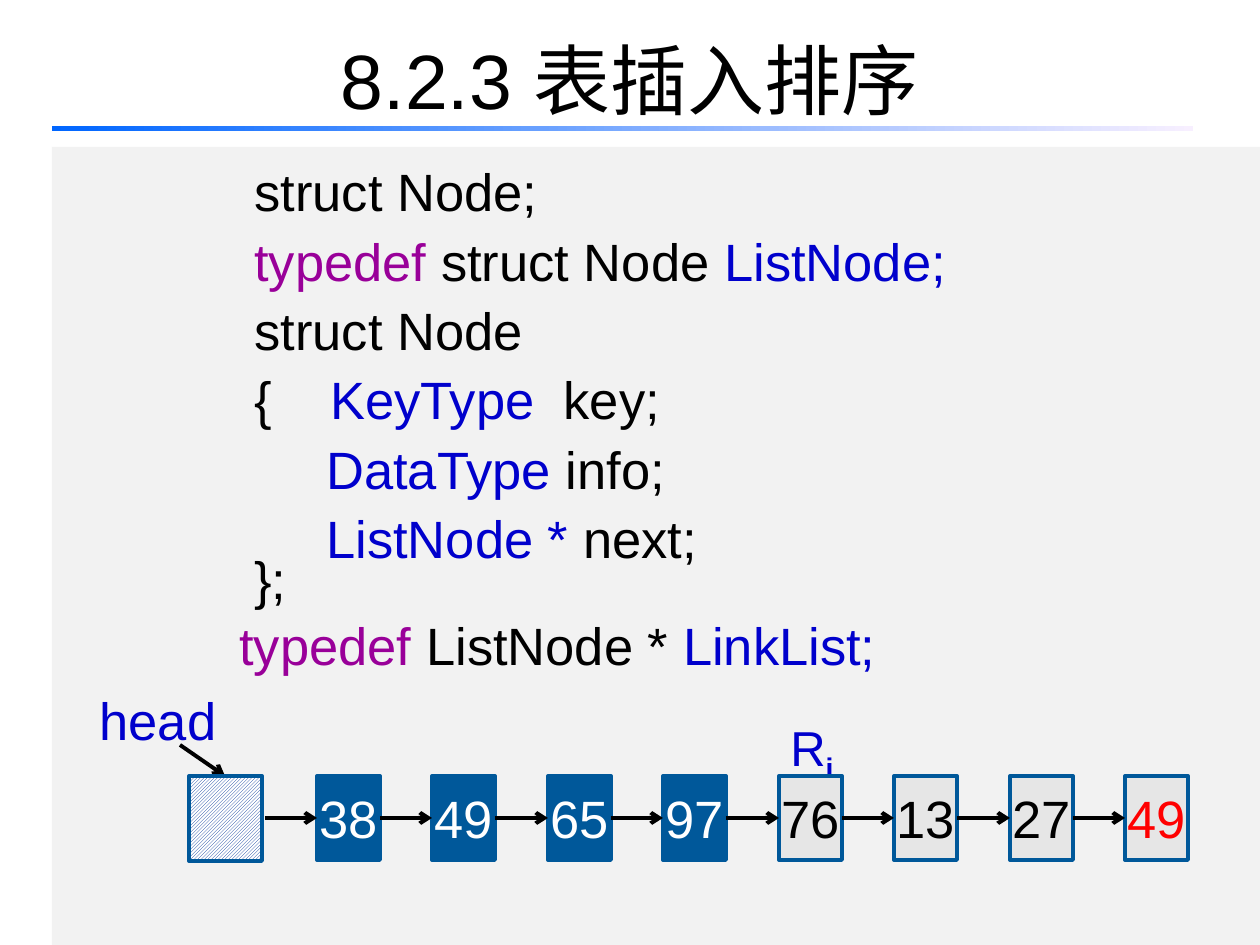
from lxml import etree
from pptx import Presentation
from pptx.dml.color import RGBColor
from pptx.enum import dml, shapes, text
from pptx.oxml.ns import qn
from pptx.util import Emu, Pt

PIXEL = 914400 // 126
FONT = "Arial"
BLACK = RGBColor(0x00, 0x00, 0x00)
WHITE = RGBColor(0xFF, 0xFF, 0xFF)
PURPLE = RGBColor(0x99, 0x00, 0x99)
BLUE = RGBColor(0x00, 0x00, 0xCC)
RED = RGBColor(0xFF, 0x00, 0x00)
NAVY = RGBColor(0x00, 0x58, 0x9A)
PANEL = RGBColor(0xF2, 0xF2, 0xF2)
GRAY = RGBColor(0xE6, 0xE6, 0xE6)
HATCH = RGBColor(0x00, 0x33, 0x99)
RULE_START = RGBColor(0x00, 0x66, 0xFF)
RULE_END = RGBColor(0xF7, 0xEF, 0xFF)

# Code lines: left margin, first-line indent, line spacing, coloured pieces
CODE = [
    (190, 0, 1.1, [("struct Node;", BLACK)]),
    (190, 0, 1.1, [("typedef ", PURPLE), ("struct Node ", BLACK), ("ListNode;", BLUE)]),
    (190, 0, 1.1, [("struct Node", BLACK)]),
    (266, -76, 1.1, [("{\t", BLACK), ("KeyType", BLUE), ("  key;", BLACK)]),
    (262, 0, 1.1, [("DataType ", BLUE), ("info;", BLACK)]),
    (262, 0, 1.1, [("ListNode * ", BLUE), ("next;", BLACK)]),
    (190, 0, 0.6, [("};", BLACK)]),
    (175, 0, 1.1, [("typedef ", PURPLE), ("ListNode * ", BLACK), ("LinkList;", BLUE)]),
]

# List nodes: key, fill, text colour
NODES = [
    ("38", NAVY, WHITE), ("49", NAVY, WHITE), ("65", NAVY, WHITE), ("97", NAVY, WHITE),
    ("76", GRAY, BLACK), ("13", GRAY, BLACK), ("27", GRAY, BLACK), ("49", GRAY, RED),
]
NODE_LEFT, NODE_TOP, NODE_WIDTH, NODE_HEIGHT = 317, 776, 63, 84
ARROW_TOP = 818


def px(*values):
    return [Emu(value * PIXEL) for value in values]


def add_run(paragraph, words, size, color):
    run = paragraph.add_run()
    run.text = words
    run.font.name = FONT
    run.font.size = Pt(size)
    run.font.color.rgb = color
    return run


def add_box(slide, box, fill=None, line=None):
    shape = slide.shapes.add_shape(shapes.MSO_SHAPE.RECTANGLE, *px(*box))
    shape.shadow.inherit = False
    if fill is not None:
        shape.fill.solid()
        shape.fill.fore_color.rgb = fill
    if line is None:
        shape.line.fill.background()
    else:
        shape.line.color.rgb = line
        shape.line.width = Pt(2.25)
    return shape


def set_label(shape, words, size, color, wrap=False, spacing=1.0,
              anchor=text.MSO_ANCHOR.MIDDLE):
    frame = shape.text_frame
    frame.word_wrap = wrap
    frame.vertical_anchor = anchor
    paragraph = frame.paragraphs[0]
    paragraph.alignment = text.PP_ALIGN.CENTER
    paragraph.line_spacing = spacing
    add_run(paragraph, words, size, color)
    return paragraph


def add_arrow(slide, start_x, start_y, end_x, end_y):
    arrow = slide.shapes.add_connector(
        shapes.MSO_CONNECTOR.STRAIGHT, *px(start_x, start_y, end_x, end_y))
    arrow.line.color.rgb = BLACK
    arrow.line.width = Pt(2.25)
    etree.SubElement(arrow.line._get_or_add_ln(), qn("a:tailEnd"), type="arrow")
    etree.SubElement(arrow._element.spPr, qn("a:effectLst"))


def add_title(slide):
    title = slide.shapes.add_textbox(*px(63, 0, 1134, 158))
    set_label(title, "8.2.3 表插入排序", 44, BLACK, wrap=True)
    rule = add_box(slide, (52, 126, 1141, 5))
    rule.fill.gradient()
    rule.fill.gradient_angle = 0
    for stop, color, position in zip(rule.fill.gradient_stops, (RULE_START, RULE_END), (0, 1)):
        stop.color.rgb = color
        stop.position = position


def add_code(slide):
    frame = add_box(slide, (52, 147, 1208, 798), PANEL).text_frame
    frame.word_wrap = True
    frame.vertical_anchor = text.MSO_ANCHOR.TOP
    for index, (margin, indent, spacing, pieces) in enumerate(CODE):
        paragraph = frame.add_paragraph() if index else frame.paragraphs[0]
        paragraph.alignment = text.PP_ALIGN.JUSTIFY
        paragraph.line_spacing = spacing
        properties = paragraph._p.get_or_add_pPr()
        properties.set("marL", str(margin * PIXEL))
        properties.set("indent", str(indent * PIXEL))
        for words, color in pieces:
            add_run(paragraph, words, 30, color)


def add_linked_list(slide):
    # Head pointer and hatched head node
    head = slide.shapes.add_textbox(*px(88, 682, 140, 84))
    head.text_frame.margin_left = head.text_frame.margin_right = 0
    set_label(head, "head", 30, BLUE, wrap=True, spacing=0.9)
    add_arrow(slide, 180, 745, 225, 776)
    head_node = add_box(slide, (189, NODE_TOP, 73, 85), line=NAVY)
    head_node.fill.patterned()
    head_node.fill.pattern = dml.MSO_PATTERN.LIGHT_UPWARD_DIAGONAL
    head_node.fill.fore_color.rgb = HATCH
    head_node.fill.back_color.rgb = WHITE

    # Label of the current record
    record = slide.shapes.add_textbox(*px(766, 723, 92, 54))
    paragraph = set_label(record, "R", 28, BLUE, wrap=True, spacing=0.7,
                          anchor=text.MSO_ANCHOR.TOP)
    subscript = add_run(paragraph, "i", 28, BLUE)
    subscript.font.bold = True
    subscript.font._element.set("baseline", "-25000")

    # Key nodes, each with its incoming arrow
    previous_right = 265
    for index, (key, fill, color) in enumerate(NODES):
        left = NODE_LEFT + index * 231 // 2
        node = add_box(slide, (left, NODE_TOP, NODE_WIDTH, NODE_HEIGHT), fill, NAVY)
        set_label(node, key, 30, color)
        add_arrow(slide, previous_right, ARROW_TOP, left, ARROW_TOP)
        previous_right = left + NODE_WIDTH


def main():
    presentation = Presentation()
    presentation.slide_width, presentation.slide_height = px(1260, 945)
    slide = presentation.slides.add_slide(presentation.slide_layouts[6])
    add_title(slide)
    add_code(slide)
    add_linked_list(slide)
    presentation.save("out.pptx")


main()
